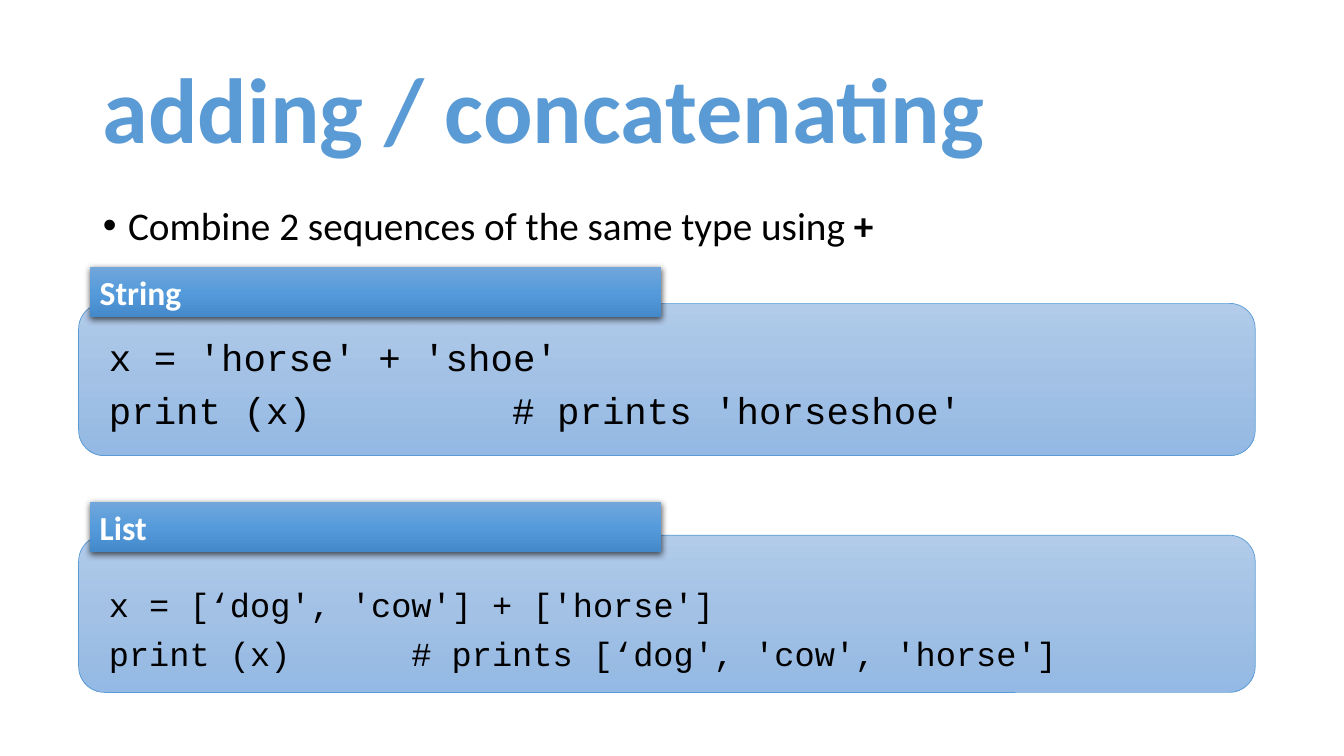
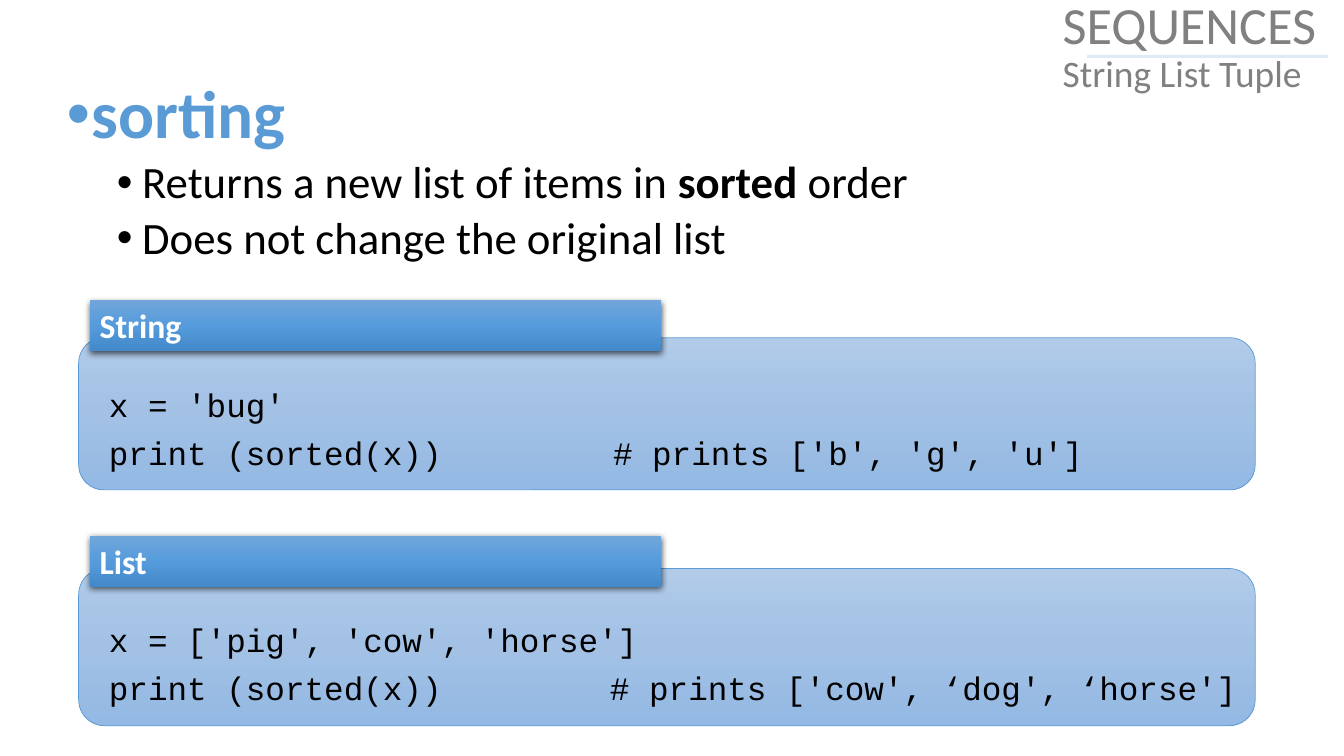
import copy

import lxml.etree
import pptx
import pptx.dml.color
import pptx.enum.shapes
import pptx.enum.text
import pptx.oxml.ns
import pptx.util

Inches = pptx.util.Inches
Pt = pptx.util.Pt
qn = pptx.oxml.ns.qn
SHAPES = pptx.enum.shapes.MSO_SHAPE

# Shared look
COLORS = {
    "accent": "5B9BD5",
    "text": "000000",
    "label": "FFFFFF",
    "muted": "808080",
    "rule": "DEEBF7",
    "shadow": "000000",
}
PANEL = ("B1CBE9", "A3C1E5", "93B9E4")
BAND = ("71A6DB", "559BDB", "448ACA")
SANS, MONO = "Calibri", "Courier New"


def rgb(name):
    return pptx.dml.color.RGBColor.from_string(COLORS[name])


def node(parent, tag, **attrs):
    return lxml.etree.SubElement(parent, qn(tag), attrs)


def write(frame, parts, size=24, font=SANS, color="text", bold=False,
          before=0, line=1.0, level=0, left=0, bullet=False, tab=None):
    """Add one paragraph; parts is a string or a list of (text, bold)."""
    para = frame.paragraphs[0]
    if para.runs:
        para = frame.add_paragraph()
    para.alignment = pptx.enum.text.PP_ALIGN.LEFT
    para.level = level
    para.space_before = Pt(before)
    para.line_spacing = line
    props = para._p.get_or_add_pPr()
    if bullet:
        props.set("marL", str(Inches(left)))
        props.set("indent", str(Inches(-0.25)))
        node(props, "a:buChar", char="•")
    if tab:
        stops = node(props, "a:tabLst")
        node(stops, "a:tab", pos=str(Inches(tab)), algn="l")
    if isinstance(parts, str):
        parts = [(parts, bold)]
    for words, heavy in parts:
        run = para.add_run()
        run.text = words
        run.font.name = font
        run.font.size = Pt(size)
        run.font.bold = heavy
        run.font.color.rgb = rgb(color)


def place(holder, left, top, width, height):
    """Move a placeholder and return its text frame."""
    holder.left, holder.top = Inches(left), Inches(top)
    holder.width, holder.height = Inches(width), Inches(height)
    frame = holder.text_frame
    frame.auto_size = pptx.enum.text.MSO_AUTO_SIZE.NONE
    frame.word_wrap = True
    return frame


def shade(shape, hexes):
    """Fill a shape from top to bottom with evenly spaced colours."""
    shape.fill.gradient()
    shape.fill.gradient_angle = 270
    stops = shape._element.spPr.find(".//" + qn("a:gsLst"))
    stops.insert(1, copy.deepcopy(stops[0]))
    for i, (stop, value) in enumerate(zip(shape.fill.gradient_stops, hexes)):
        stop.color.rgb = pptx.dml.color.RGBColor.from_string(value)
        stop.position = i / (len(hexes) - 1)


def block(group, kind, left, top, width, height, hexes):
    shape = group.shapes.add_shape(
        kind, Inches(left), Inches(top), Inches(width), Inches(height))
    shape.shadow.inherit = False
    shade(shape, hexes)
    return shape


def sample(slide, label, top, height, band, start, lines, size, tab):
    """Add a code panel with a label band across its upper edge."""
    group = slide.shapes.add_group_shape()
    # Panel
    panel = block(group, SHAPES.ROUNDED_RECTANGLE,
                  0.78, top, 11.67, height, PANEL)
    panel.line.color.rgb = rgb("accent")
    panel.line.width = Pt(0.5)
    # Code
    code = group.shapes.add_textbox(
        Inches(0.78), Inches(start), Inches(11.89), Inches(1.2)).text_frame
    code.word_wrap = True
    code.margin_left, code.margin_right = Inches(0.3), Inches(0.13)
    code.margin_top = code.margin_bottom = Inches(0.07)
    for words in lines:
        write(code, words, size=size, font=MONO, before=6.5, tab=tab)
    # Label band
    head = block(group, SHAPES.RECTANGLE, 0.89, band, 5.67, 0.5, BAND)
    head.line.fill.background()
    effects = head._element.spPr.find(qn("a:effectLst"))
    glow = node(effects, "a:outerShdw", blurRad=str(Pt(4.5)),
                dist=str(Pt(1.5)), dir="5400000", rotWithShape="0")
    tint = node(glow, "a:srgbClr", val=COLORS["shadow"])
    node(tint, "a:alpha", val="63000")
    head.text_frame.vertical_anchor = pptx.enum.text.MSO_ANCHOR.MIDDLE
    write(head.text_frame, label, color="label", bold=True)


def rule(slide, left, right, top):
    line = slide.shapes.add_connector(
        pptx.enum.shapes.MSO_CONNECTOR.STRAIGHT,
        Inches(left), Inches(top), Inches(right), Inches(top))
    line.line.color.rgb = rgb("rule")
    line.line.width = Pt(2)
    node(line._element.spPr, "a:effectLst")


def adding(slide):
    title = place(slide.shapes.title, 0.92, 0.4, 11.5, 1.45)
    write(title, "adding / concatenating", size=66, color="accent",
          bold=True, line=0.9)
    body = place(slide.placeholders[1], 0.92, 2, 11.5, 4.76)
    write(body, [("Combine 2 sequences of the same type using ", False),
                 ("+", True)],
          size=28, before=10, line=0.9, left=0.25, bullet=True)
    sample(slide, "String", 3.01, 1.51, 2.65, 3.24,
           ["x = 'horse' + 'shoe'", "print (x)\t# prints 'horseshoe'"],
           size=26.7, tab=4)
    sample(slide, "List", 5.31, 1.56, 4.98, 5.72,
           ["x = [‘dog', 'cow'] + ['horse']",
            "print (x)\t# prints [‘dog', 'cow', 'horse']"],
           size=24, tab=3)


def sorting(slide):
    title = place(slide.shapes.title, 10.44, -0.03, 3, 1)
    for words, size in (("SEQUENCES", 37.3), ("String List Tuple", 26.7)):
        write(title, words, size=size, color="muted", line=0.9)
    rule(slide, 10.78, 13.17, 0.56)
    body = place(slide.placeholders[1], 0.56, 0.75, 12, 2.11)
    write(body, "sorting", size=48, color="accent", bold=True,
          before=10, line=0.9, left=0.25, bullet=True)
    for parts in ([("Returns a new list of items in ", False),
                   ("sorted", True), (" order", False)],
                  "Does not change the original list"):
        write(body, parts, size=32, before=5, line=0.9,
              level=1, left=0.75, bullet=True)
    sample(slide, "String", 3.35, 1.51, 2.98, 3.75,
           ["x = 'bug'", "print (sorted(x))\t# prints ['b', 'g', 'u']"],
           size=23.3, tab=5)
    sample(slide, "List", 5.64, 1.56, 5.32, 6.08,
           ["x = ['pig', 'cow', 'horse']",
            "print (sorted(x))\t# prints ['cow', ‘dog', ‘horse']"],
           size=23.3, tab=4.97)


def main():
    deck = pptx.Presentation()
    deck.slide_width, deck.slide_height = Inches(13.33), Inches(7.5)
    for build in (adding, sorting):
        build(deck.slides.add_slide(deck.slide_layouts[1]))
    deck.save("out.pptx")


if __name__ == "__main__":
    main()
